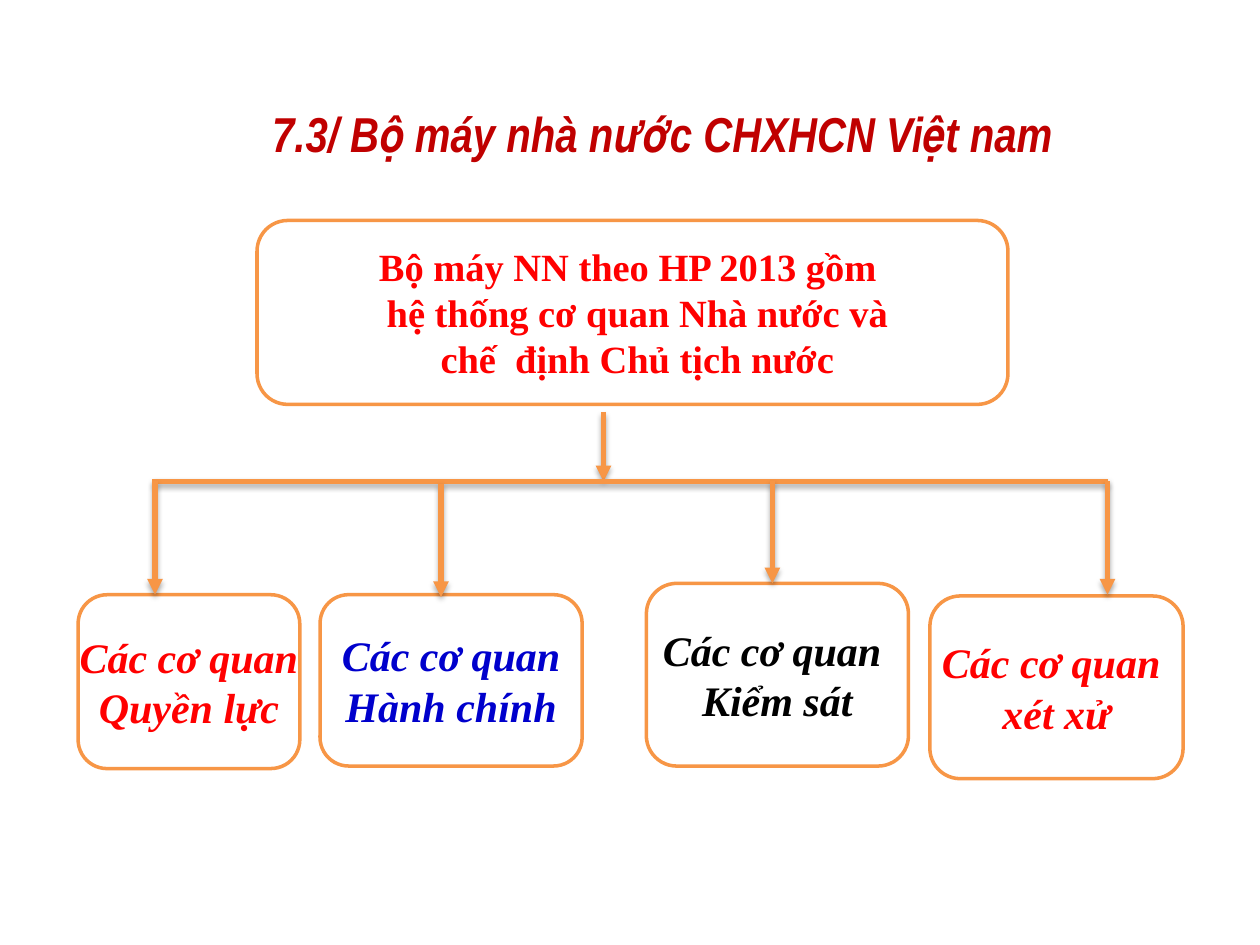
from dataclasses import dataclass

from lxml.etree import SubElement
from pptx import Presentation
from pptx.dml.color import RGBColor
from pptx.enum.shapes import MSO_CONNECTOR, MSO_SHAPE
from pptx.enum.text import MSO_ANCHOR, PP_ALIGN
from pptx.oxml.ns import qn
from pptx.slide import Slide
from pptx.text.text import TextFrame
from pptx.util import Inches, Pt

ORANGE = RGBColor(0xF7, 0x96, 0x46)
WHITE = RGBColor(0xFF, 0xFF, 0xFF)
RED = RGBColor(0xFF, 0x00, 0x00)
DARK_RED = RGBColor(0xC0, 0x00, 0x00)
BLUE = RGBColor(0x00, 0x00, 0xCC)
BLACK = RGBColor(0x00, 0x00, 0x00)
SERIF = "Times New Roman"
NARROW = "Arial Narrow"
BAR_TOP = 3.82


@dataclass(frozen=True)
class Organ:
    left: float
    top: float
    width: float
    height: float
    text: str
    color: RGBColor
    size: int = 24
    italic: bool = True


@dataclass(frozen=True)
class Link:
    start: tuple[float, float]
    end: tuple[float, float]
    arrow: bool = True


STATE = Organ(
    2.04, 1.75, 5.96, 1.46,
    "Bộ máy NN theo HP 2013 gồm \n hệ thống cơ quan Nhà nước và\n chế  định Chủ tịch nước",
    RED, 22, False,
)
BRANCHES = [
    Organ(0.62, 4.72, 1.76, 1.38, "Các cơ quan\nQuyền lực", RED),
    Organ(2.54, 4.72, 2.08, 1.36, "Các cơ quan\nHành chính", BLUE),
    Organ(5.13, 4.63, 2.08, 1.45, "Các cơ quan \nKiểm sát", BLACK),
    Organ(7.38, 4.73, 2.01, 1.45, "Các cơ quan \nxét xử", RED),
]
LINKS = [
    Link((4.79, 3.27), (4.79, BAR_TOP)),
    Link((1.21, BAR_TOP), (8.79, BAR_TOP), arrow=False),
    Link((1.23, BAR_TOP), (1.23, 4.72)),
    Link((3.5, 3.84), (3.5, 4.74)),
    Link((6.13, BAR_TOP), (6.13, 4.63)),
    Link((8.79, BAR_TOP), (8.79, 4.72)),
]


def write_text(
    frame: TextFrame, text: str, font: str, size: int, color: RGBColor, italic: bool
) -> None:
    frame.text = text
    for para in frame.paragraphs:
        para.alignment = PP_ALIGN.CENTER
        for span in para.runs:
            span.font.name = font
            span.font.size = Pt(size)
            span.font.bold = True
            span.font.italic = italic
            span.font.color.rgb = color


def draw_organ(page: Slide, organ: Organ) -> None:
    box = page.shapes.add_shape(
        MSO_SHAPE.FLOWCHART_ALTERNATE_PROCESS,
        Inches(organ.left), Inches(organ.top), Inches(organ.width), Inches(organ.height),
    )
    box.shadow.inherit = False
    box.fill.solid()
    box.fill.fore_color.rgb = WHITE
    box.line.color.rgb = ORANGE
    box.line.width = Pt(2)
    frame = box.text_frame
    frame.word_wrap = False
    frame.vertical_anchor = MSO_ANCHOR.MIDDLE
    write_text(frame, organ.text, SERIF, organ.size, organ.color, organ.italic)


def draw_link(page: Slide, link: Link) -> None:
    connector = page.shapes.add_connector(
        MSO_CONNECTOR.STRAIGHT, *(Inches(value) for value in link.start + link.end)
    )
    connector.line.color.rgb = ORANGE
    connector.line.width = Pt(3)
    properties = connector.element.spPr
    if link.arrow:
        SubElement(properties.find(qn("a:ln")), qn("a:tailEnd"), type="triangle")
    effects = SubElement(properties, qn("a:effectLst"))
    shadow = SubElement(
        effects, qn("a:outerShdw"),
        blurRad=str(Pt(3.1)), dist=str(Pt(1.8)), dir="5400000", rotWithShape="0",
    )
    shade = SubElement(shadow, qn("a:srgbClr"), val=str(BLACK))
    SubElement(shade, qn("a:alpha"), val="35000")


def draw_title(page: Slide) -> None:
    box = page.shapes.add_textbox(Inches(1.41), Inches(0.77), Inches(7.69), Inches(0.57))
    box.text_frame.word_wrap = True
    write_text(
        box.text_frame, "7.3/ Bộ máy nhà nước CHXHCN Việt nam", NARROW, 28, DARK_RED, True
    )


def main() -> None:
    deck = Presentation()
    deck.slide_width = Inches(10)
    deck.slide_height = Inches(7.5)
    page = deck.slides.add_slide(deck.slide_layouts[6])
    for organ in [STATE, *BRANCHES]:
        draw_organ(page, organ)
    for link in LINKS:
        draw_link(page, link)
    draw_title(page)
    deck.save("out.pptx")


if __name__ == "__main__":
    main()
